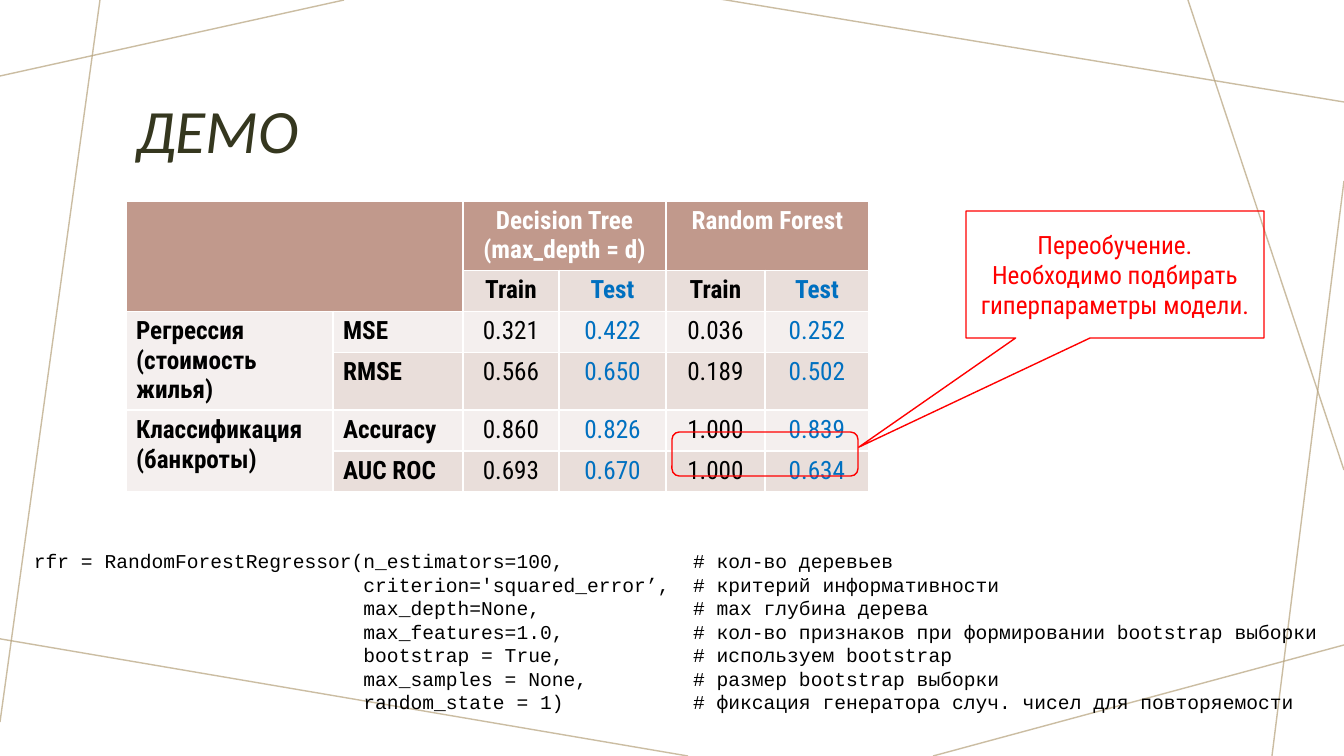
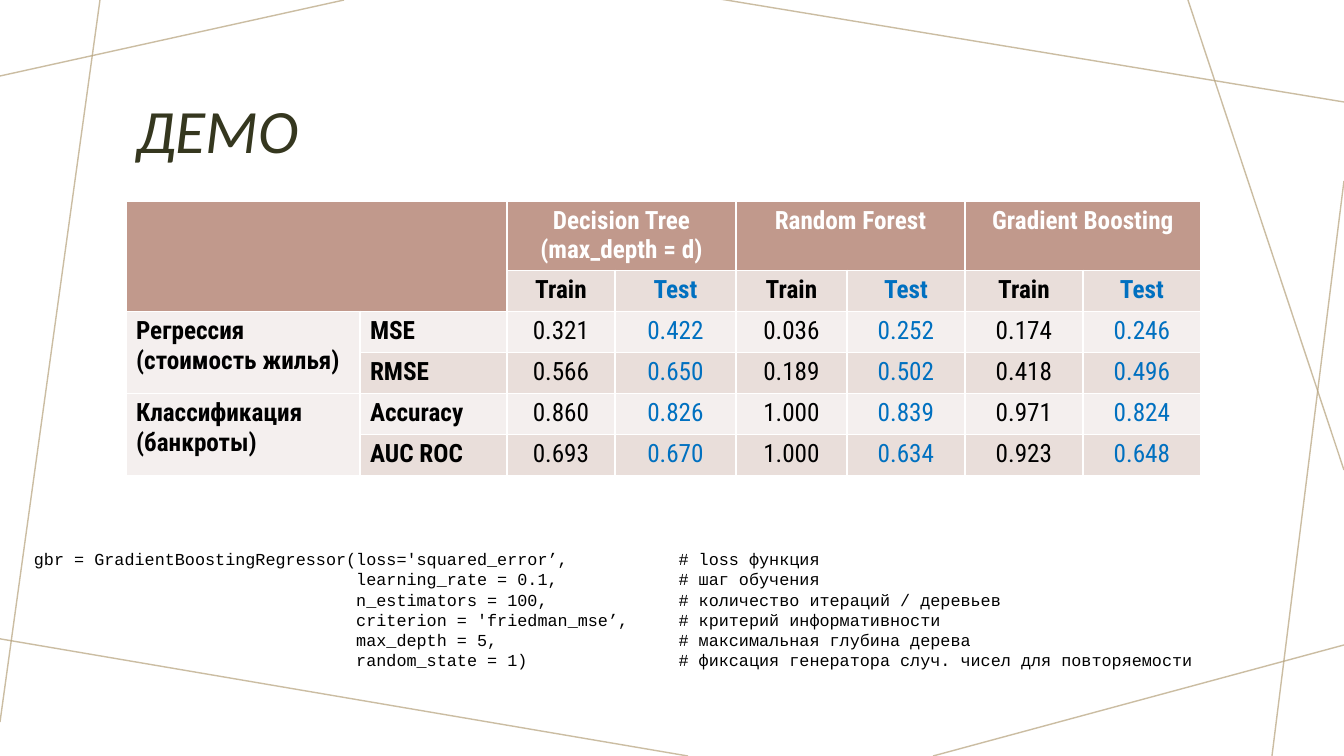
"""Build two demo slides that compare tree ensembles by their scores and settings."""
import pptx
import pptx.dml.color
import pptx.enum.shapes
import pptx.enum.text
import pptx.oxml
import pptx.oxml.ns
import pptx.util

RGB = pptx.dml.color.RGBColor
SHAPES = pptx.enum.shapes.MSO_SHAPE
ALIGN = pptx.enum.text.PP_ALIGN

SLIDE_WIDTH, SLIDE_HEIGHT = 1344, 756
EMU_PER_PX = 12192000 / SLIDE_WIDTH

OLIVE = RGB(0x35, 0x37, 0x1F)
SAND = RGB(0xB5, 0xA1, 0x7B)
CLAY = RGB(0xC1, 0x99, 0x8C)
BAND_DARK = RGB(0xE9, 0xDE, 0xDA)
BAND_LIGHT = RGB(0xF4, 0xEF, 0xEE)
WHITE = RGB(0xFF, 0xFF, 0xFF)
BLACK = RGB(0x00, 0x00, 0x00)
BLUE = RGB(0x00, 0x70, 0xC0)
RED = RGB(0xFF, 0x00, 0x00)

TITLE_FONT = "Calibri"
BODY_FONT = "Roboto Condensed"
CODE_FONT = "Courier New"

WEB_LINES = [
    (344, 0, 0, 76),
    (100, 0, 0, 722),
    (688, 756, -5, 638),
    (1344, 645, 933, 756),
    (1344, 181, 1272, 756),
    (1344, 470, 1188, 0),
    (1344, 102, 720, -1),
]

TASKS = ["Регрессия (стоимость жилья)", "Классификация (банкроты)"]
METRICS = ["MSE", "RMSE", "Accuracy", "AUC ROC"]
MODELS = [
    ("Decision Tree (max_depth = d)",
     [("0.321", "0.422"), ("0.566", "0.650"), ("0.860", "0.826"), ("0.693", "0.670")]),
    ("Random Forest",
     [("0.036", "0.252"), ("0.189", "0.502"), ("1.000", "0.839"), ("1.000", "0.634")]),
    ("Gradient Boosting",
     [("0.174", "0.246"), ("0.418", "0.496"), ("0.971", "0.824"), ("0.923", "0.648")]),
]
FOREST_COLUMNS = [207, 130, 96, 107, 99, 104]
BOOSTING_COLUMNS = [234, 147, 108, 121, 111, 118, 118, 118]

FOREST_ARGUMENTS = [
    ("n_estimators=100,", "кол-во деревьев"),
    ("criterion='squared_error’,", "критерий информативности"),
    ("max_depth=None,", "max глубина дерева"),
    ("max_features=1.0,", "кол-во признаков при формировании bootstrap выборки"),
    ("bootstrap = True,", "используем bootstrap"),
    ("max_samples = None,", "размер bootstrap выборки"),
    ("random_state = 1)", "фиксация генератора случ. чисел для повторяемости"),
]
BOOSTING_ARGUMENTS = [
    ("loss='squared_error’,", "loss функция"),
    ("learning_rate = 0.1,", "шаг обучения"),
    ("n_estimators = 100,", "количество итераций / деревьев"),
    ("criterion = 'friedman_mse’,", "критерий информативности"),
    ("max_depth = 5,", "максимальная глубина дерева"),
    ("random_state = 1)", "фиксация генератора случ. чисел для повторяемости"),
]


def px(*lengths):
    """Turn lengths in px into a list of EMU lengths."""
    return [pptx.util.Emu(round(length * EMU_PER_PX)) for length in lengths]


def write(para, text, font_name, size, color, bold=False, align=ALIGN.LEFT):
    """Put text into a paragraph and set its font and alignment."""
    para.text = text
    para.alignment = align
    para.font.name = font_name
    para.font.size = pptx.util.Pt(size)
    para.font.bold = bold
    para.font.color.rgb = color


def write_lines(frame, lines, *style, **options):
    """Fill a text frame with one paragraph for each line."""
    frame.word_wrap = True
    for index, line in enumerate(lines):
        para = frame.add_paragraph() if index else frame.paragraphs[0]
        write(para, line, *style, **options)


def add_web(slide, layout):
    """Draw the thin background lines and hand them over to the layout."""
    for index, ends in enumerate(WEB_LINES):
        line = slide.shapes.add_connector(pptx.enum.shapes.MSO_CONNECTOR.STRAIGHT, *px(*ends))
        line.line.color.rgb = SAND
        line.line.width = pptx.util.Pt(1)
        color = line.element.xpath(".//a:ln//a:srgbClr")[0]
        pptx.oxml.ns.qn("a:alpha")
        alpha = color.makeelement(pptx.oxml.ns.qn("a:alpha"), {"val": "70000"})
        color.append(alpha)
        properties = line.element.spPr
        properties.append(properties.makeelement(pptx.oxml.ns.qn("a:effectLst"), {}))
        line.element.xpath(".//p:cNvPr")[0].set("id", str(100 + index))
        layout.shapes.element.insert(2 + index, line.element)


def add_title(slide, text):
    """Place and style the slide title."""
    title = slide.shapes.title
    title.left, title.top, title.width, title.height = px(126, 58, 1092, 152)
    title.text_frame.vertical_anchor = pptx.enum.text.MSO_ANCHOR.MIDDLE
    para = title.text_frame.paragraphs[0]
    write(para, text, TITLE_FONT, 44, OLIVE)
    para.line_spacing = 0.9
    para.font.italic = True


def write_cell(cell, text, color=BLACK, bold=True, align=ALIGN.CENTER):
    """Write a table cell in the table font."""
    write(cell.text_frame.paragraphs[0], text, BODY_FONT, 18, color, bold, align)


def add_scores(slide, models, columns):
    """Add the table of train and test scores for the given models."""
    row_count, row_height = 2 + len(METRICS), 41
    frame = slide.shapes.add_table(
        row_count, len(columns), *px(126, 201, sum(columns), row_count * row_height))
    table = frame.table
    table.horz_banding = False
    for column, width in zip(table.columns, px(*columns)):
        column.width = width
    for row_index in range(row_count):
        for column_index in range(len(columns)):
            fill = table.cell(row_index, column_index).fill
            fill.solid()
            corner = row_index < 2 and column_index < 2
            band = BAND_DARK if row_index % 2 and column_index else BAND_LIGHT
            fill.fore_color.rgb = CLAY if corner or row_index == 0 else band

    table.cell(0, 0).merge(table.cell(1, 1))
    for index, task in enumerate(TASKS):
        top = 2 + 2 * index
        table.cell(top, 0).merge(table.cell(top + 1, 0))
        write_cell(table.cell(top, 0), task, align=ALIGN.LEFT)
    for row_index, metric in enumerate(METRICS, 2):
        write_cell(table.cell(row_index, 1), metric, align=ALIGN.LEFT)
    for index, (model, scores) in enumerate(models):
        left = 2 + 2 * index
        table.cell(0, left).merge(table.cell(0, left + 1))
        write_cell(table.cell(0, left), model, WHITE)
        for row_index, pair in enumerate([("Train", "Test"), *scores], 1):
            for offset, (text, color) in enumerate(zip(pair, (BLACK, BLUE))):
                write_cell(table.cell(row_index, left + offset), text, color, bold=row_index == 1)


def add_code(slide, call, arguments, size, height):
    """Add a constructor call with aligned arguments and comments."""
    indent = len(call)
    lines = [
        (" " * indent if index else call) + argument.ljust(indent) + "# " + comment
        for index, (argument, comment) in enumerate(arguments)
    ]
    box = slide.shapes.add_textbox(*px(24, 544, 1320, height))
    write_lines(box.text_frame, lines, CODE_FONT, size, BLACK)


def add_red_outline(slide, preset, *place):
    """Add an unfilled shape with a thin red outline."""
    shape = slide.shapes.add_shape(preset, *px(*place))
    shape.shadow.inherit = False
    shape.fill.background()
    shape.line.color.rgb = RED
    shape.line.width = pptx.util.Pt(1)
    return shape


def add_warning(slide):
    """Mark the overfitted scores and explain them in a callout."""
    add_red_outline(slide, SHAPES.ROUNDED_RECTANGLE, 672, 432, 186, 44)
    callout = add_red_outline(slide, SHAPES.RECTANGULAR_CALLOUT, 966, 211, 298, 127)
    callout.adjustments[0] = -0.86
    callout.adjustments[1] = 1.36
    lines = ["Переобучение.", "Необходимо подбирать гиперпараметры модели."]
    write_lines(callout.text_frame, lines, BODY_FONT, 18, RED, align=ALIGN.CENTER)


def main():
    """Build and save the deck."""
    deck = pptx.Presentation()
    deck.slide_width, deck.slide_height = px(SLIDE_WIDTH, SLIDE_HEIGHT)
    layout = deck.slide_layouts[5]
    forest, boosting = [deck.slides.add_slide(layout) for _ in range(2)]
    add_web(forest, layout)
    for slide in (forest, boosting):
        add_title(slide, "ДЕМО")

    add_scores(forest, MODELS[:2], FOREST_COLUMNS)
    add_code(forest, "rfr = RandomForestRegressor(", FOREST_ARGUMENTS, 14, 176)
    add_warning(forest)

    add_scores(boosting, MODELS, BOOSTING_COLUMNS)
    add_code(boosting, "gbr = GradientBoostingRegressor(", BOOSTING_ARGUMENTS, 12, 132)

    deck.save("out.pptx")


if __name__ == "__main__":
    main()
